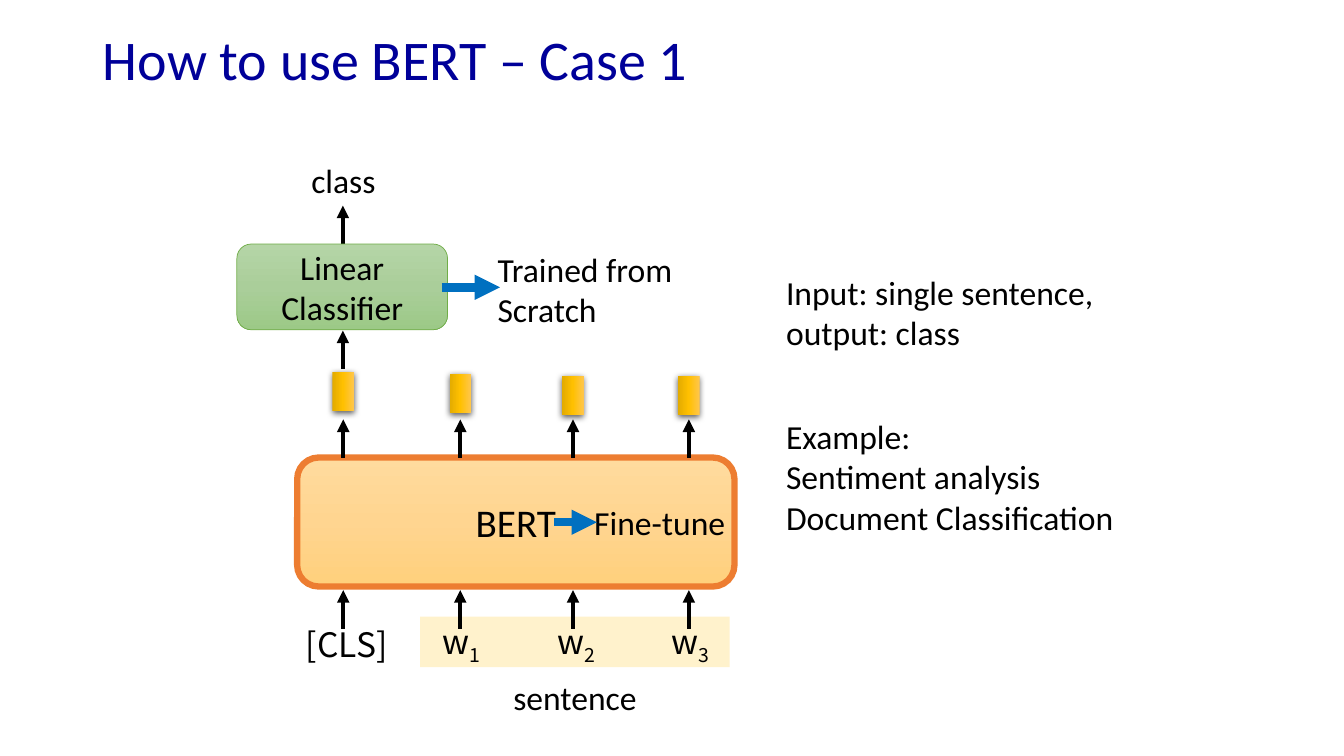
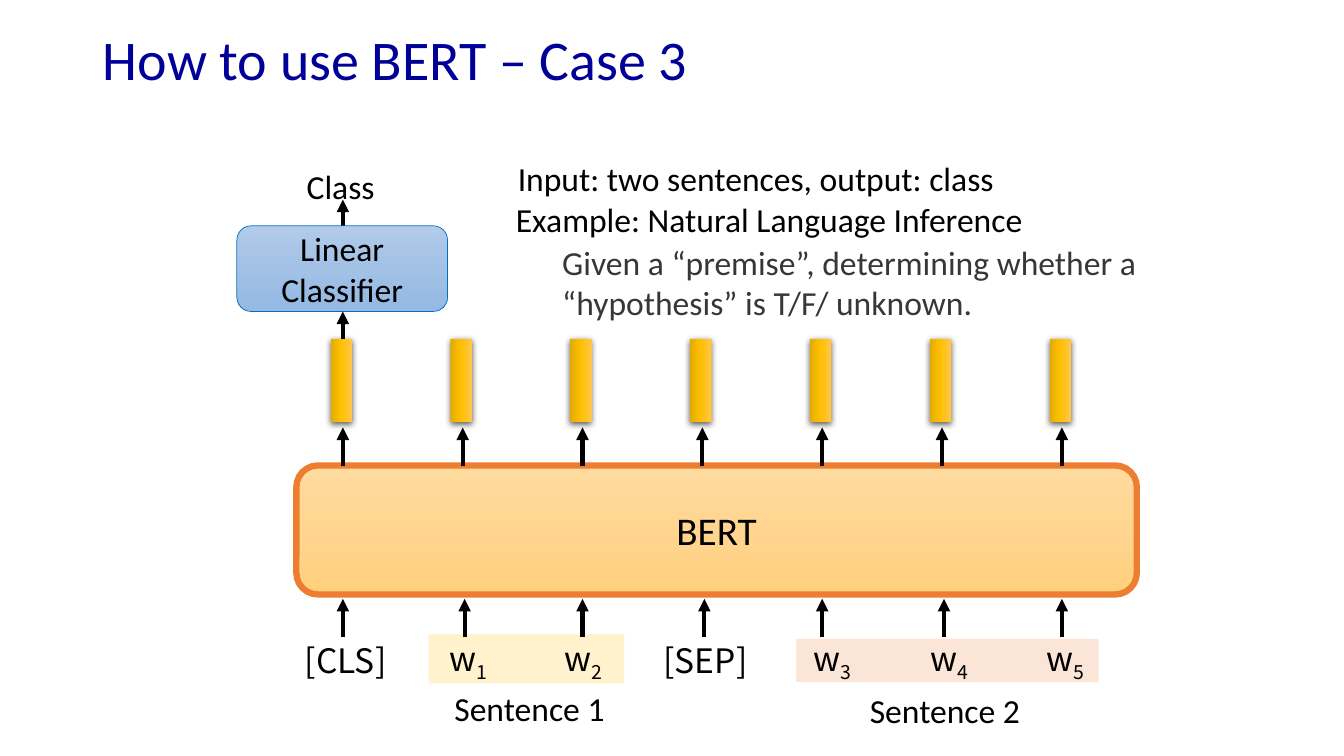
import copy
import dataclasses

import lxml.etree
import pptx
import pptx.dml.color
import pptx.enum.shapes
import pptx.enum.text
import pptx.oxml.ns
import pptx.util

Cm, Pt = pptx.util.Cm, pptx.util.Pt
Shape = pptx.enum.shapes.MSO_SHAPE
Align = pptx.enum.text.PP_ALIGN
Anchor = pptx.enum.text.MSO_ANCHOR
Fit = pptx.enum.text.MSO_AUTO_SIZE
qn = pptx.oxml.ns.qn


def rgb(code):
    return pptx.dml.color.RGBColor.from_string(code)


@dataclasses.dataclass(frozen=True)
class Theme:
    font: str = "Calibri"
    code: str = "Noto Sans CJK SC"
    head: int = 40
    model: int = 28
    body: int = 24
    navy: str = "000099"
    ink: str = "000000"
    gray: str = "373737"
    blue: str = "0070C0"
    green: str = "70AD47"
    rust: str = "ED7D31"
    cream: str = "FFF2CC"
    peach: str = "FBE5D6"
    amber: tuple = ("FFDB9E", "FFD590", "FFD07C")
    gold: tuple = ("E3AB00", "FFC000", "FFC64B")
    leaf: tuple = ("B5D5A7", "AACE9A", "9CC987")
    sky: tuple = ("B1CBE9", "A3C1E5", "93B9E4")


class Deck:
    """Holds the theme and the slide being drawn; lengths are centimetres."""

    rise = 0.97

    def __init__(self, theme):
        self.theme = theme
        self.file = pptx.Presentation()
        self.file.slide_width = Cm(33.87)
        self.file.slide_height = Cm(19.05)
        self.slide = None

    def start(self, title):
        """Add a slide with its title."""
        self.slide = self.file.slides.add_slide(self.file.slide_layouts[5])
        shape = self.slide.shapes.title
        shape.left, shape.top = Cm(2.34), Cm(0.25)
        shape.width, shape.height = Cm(28.27), Cm(2.62)
        frame = shape.text_frame
        frame.auto_size = Fit.NONE
        frame.vertical_anchor = Anchor.MIDDLE
        para = frame.paragraphs[0]
        para.alignment = Align.LEFT
        para.line_spacing = 0.9
        self.run(para, title, self.theme.head, self.theme.navy)

    def run(self, para, text, size=None, color=None, font=None):
        run = para.add_run()
        run.text = text
        run.font.size = Pt(size or self.theme.body)
        run.font.name = font or self.theme.font
        run.font.color.rgb = rgb(color or self.theme.ink)
        return run

    def frame(self, x, y, w, h):
        """Add an empty text box that wraps and grows."""
        frame = self.slide.shapes.add_textbox(Cm(x), Cm(y), Cm(w), Cm(h)).text_frame
        frame.word_wrap = True
        frame.auto_size = Fit.SHAPE_TO_FIT_TEXT
        return frame

    def text(self, x, y, w, lines, h=1.27, align=Align.LEFT, color=None):
        frame = self.frame(x, y, w, h)
        for i, line in enumerate(lines):
            para = frame.add_paragraph() if i else frame.paragraphs[0]
            para.alignment = align
            self.run(para, line, color=color)

    def label(self, x, y, w, line):
        self.text(x, y, w, [line], align=Align.CENTER)

    def token(self, mid, y, name, sub=""):
        """Centre an input token, with an optional subscript, on mid."""
        para = self.frame(mid - 1.55, y, 3.1, 1.27).paragraphs[0]
        para.alignment = Align.CENTER
        self.run(para, name, font=self.theme.code)
        if sub:
            low = self.run(para, sub, font=self.theme.code)
            low.font._element.set("baseline", "-25000")

    def shape(self, kind, x, y, w, h):
        shape = self.slide.shapes.add_shape(kind, Cm(x), Cm(y), Cm(w), Cm(h))
        shape.shadow.inherit = False
        shape.line.fill.background()
        return shape

    def blend(self, shape, colors, angle):
        """Fill with three evenly spaced gradient stops."""
        fill = shape.fill
        fill.gradient()
        fill.gradient_angle = angle
        stops = shape._element.spPr.find(".//" + qn("a:gsLst"))
        stops.append(copy.deepcopy(stops[-1]))
        for i, (stop, color) in enumerate(zip(fill.gradient_stops, colors)):
            stop.position = i / 2
            stop.color.rgb = rgb(color)

    def band(self, x, y, w, h, color):
        shape = self.shape(Shape.RECTANGLE, x, y, w, h)
        shape.fill.solid()
        shape.fill.fore_color.rgb = rgb(color)

    def block(self, x, y, w, h, name, colors, edge, width, size):
        """Add a rounded, named network block."""
        shape = self.shape(Shape.ROUNDED_RECTANGLE, x, y, w, h)
        self.blend(shape, colors, 270)
        shape.line.color.rgb = rgb(edge)
        shape.line.width = Pt(width)
        shape.text_frame.vertical_anchor = Anchor.MIDDLE
        para = shape.text_frame.paragraphs[0]
        para.alignment = Align.CENTER
        self.run(para, name, size)

    def bert(self, x, y, w):
        look = self.theme
        self.block(x, y, w, 3.25, "BERT", look.amber, look.rust, 4.5, look.model)

    def linear(self, y, tips, colors, edge):
        """Add the classifier with the arrows out of and into it."""
        self.up(8.64, tips[0])
        self.block(5.97, y, 5.31, 2.16, "Linear Classifier", colors, edge,
                   0.5, self.theme.body)
        self.up(8.64, tips[1])

    def bar(self, mid, y, h):
        """Add an output vector centred on (mid, y)."""
        shape = self.shape(Shape.RECTANGLE, mid - 0.27, y - h / 2, 0.54, h)
        self.blend(shape, self.theme.gold, 0)
        glow = shape._element.spPr.find(qn("a:effectLst"))
        cast = lxml.etree.SubElement(
            glow, qn("a:outerShdw"), blurRad=str(Pt(4.5)), dist=str(Pt(1.5)),
            dir="5400000", algn="ctr", rotWithShape="0")
        tint = lxml.etree.SubElement(cast, qn("a:srgbClr"), val=self.theme.ink)
        lxml.etree.SubElement(tint, qn("a:alpha"), val="63000")

    def arrow(self, x, y, to_x, to_y, color, width):
        line = self.slide.shapes.add_connector(
            pptx.enum.shapes.MSO_CONNECTOR.STRAIGHT, Cm(x), Cm(y), Cm(to_x), Cm(to_y))
        line.line.color.rgb = rgb(color)
        line.line.width = Pt(width)
        props = line._element.spPr
        lxml.etree.SubElement(props.find(qn("a:ln")), qn("a:tailEnd"), type="triangle")
        lxml.etree.SubElement(props, qn("a:effectLst"))

    def up(self, x, tip):
        self.arrow(x, tip + self.rise, x, tip, self.theme.ink, 3)

    def point(self, x, to_x, y):
        """Add a thick blue arrow to a remark."""
        self.arrow(x, y, to_x, y, self.theme.blue, 6)


def single(deck):
    look = deck.theme
    deck.start("How to use BERT – Case 1")
    deck.band(10.59, 15.54, 7.8, 1.27, look.cream)
    deck.bert(7.49, 11.53, 11.02)
    deck.token(8.74, 15.6, "[CLS]")
    for i in range(1, 4):
        deck.token(8.74 + 2.89 * i, 15.52, "w", str(i))
    for x, y in zip((8.65, 11.6, 14.44, 17.36), (9.87, 9.92, 9.97, 9.97)):
        deck.up(x, 14.87)
        deck.up(x, 10.57)
        deck.bar(x, y, 0.99)
    deck.linear(6.15, (5.18, 8.33), look.leaf, look.green)
    deck.label(7.36, 3.91, 2.59, "class")
    deck.label(12.37, 16.92, 4.24, "sentence")
    deck.text(19.56, 6.73, 13.97, ["Input: single sentence,", "output: class"], 2.31)
    deck.text(19.56, 10.36, 8.99,
              ["Example:", "Sentiment analysis", "Document Classification"], 3.33)
    deck.text(12.29, 6.15, 5.31, ["Trained from Scratch"], 2.31)
    deck.label(13.97, 12.52, 5.31, "Fine-tune")
    deck.point(11.13, 12.6, 7.24)
    deck.point(13.97, 15.04, 13.16)


def double(deck):
    look = deck.theme
    deck.start("How to use BERT – Case 3")
    deck.linear(5.69, (5.03, 7.85), look.sky, look.blue)
    deck.band(10.8, 15.98, 4.93, 1.24, look.cream)
    deck.band(20.07, 16.1, 7.62, 1.09, look.peach)
    deck.bert(7.47, 11.73, 21.18)
    for x, name in ((8.71, "[CLS]"), (17.78, "[SEP]")):
        deck.token(x, 16, name)
    for i, x in enumerate((11.81, 14.71, 20.98, 23.92, 26.85), 1):
        deck.token(x, 15.94, "w", str(i))
    for i in range(7):
        deck.up(8.64 + 6.04 * (i // 2) + 3.07 * (i % 2), 15.09)
        deck.up(8.64 + 3.02 * i, 10.77)
        deck.bar(8.6 + 3.02 * i, 9.59, 2.11)
    deck.label(7.29, 4.06, 2.59, "Class")
    deck.label(10.92, 17.22, 4.85, "Sentence 1")
    deck.label(21.39, 17.25, 4.85, "Sentence 2")
    deck.text(12.8, 3.86, 17.45, ["Input: two sentences, output: class"])
    deck.text(12.75, 4.9, 19.58, ["Example: Natural Language Inference"])
    deck.text(13.92, 5.97, 19.18,
              ["Given a “premise”, determining whether a “hypothesis” is T/F/ unknown."],
              2.31, color=look.gray)


def main():
    deck = Deck(Theme())
    single(deck)
    double(deck)
    deck.file.save("out.pptx")


if __name__ == "__main__":
    main()
